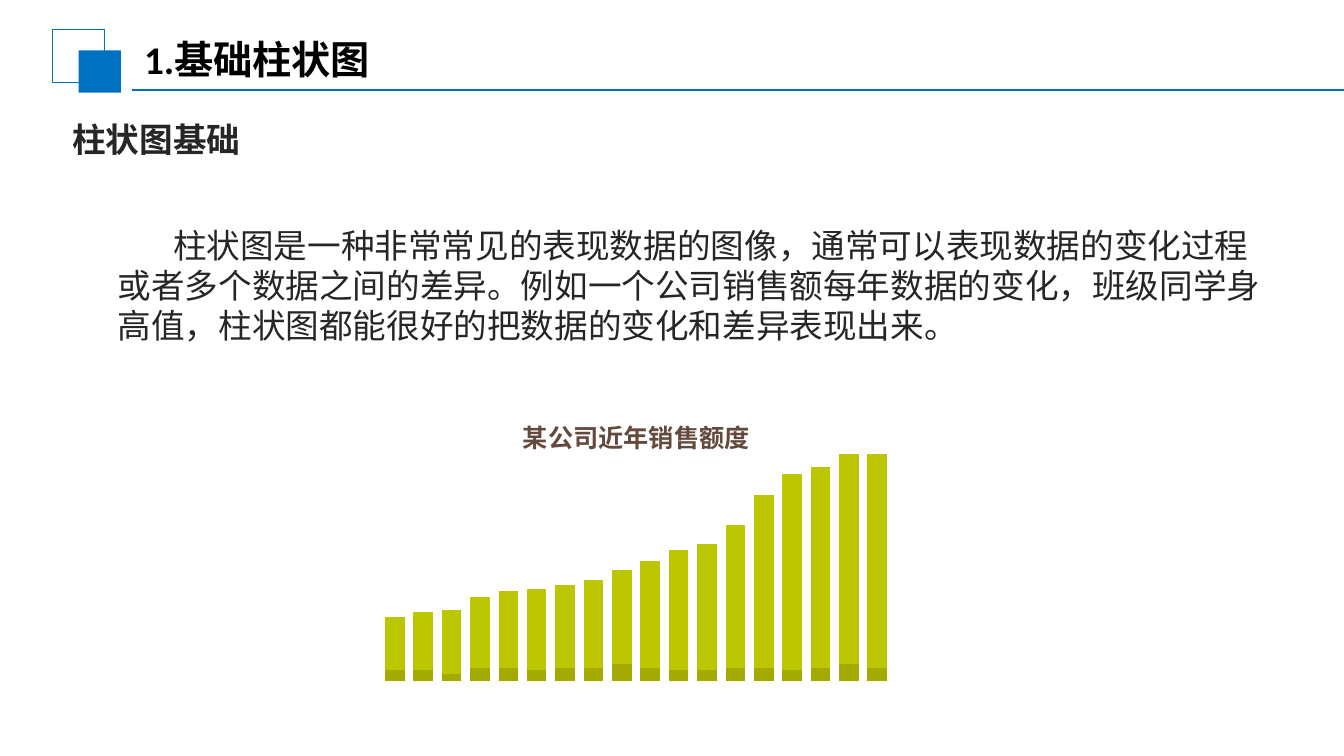
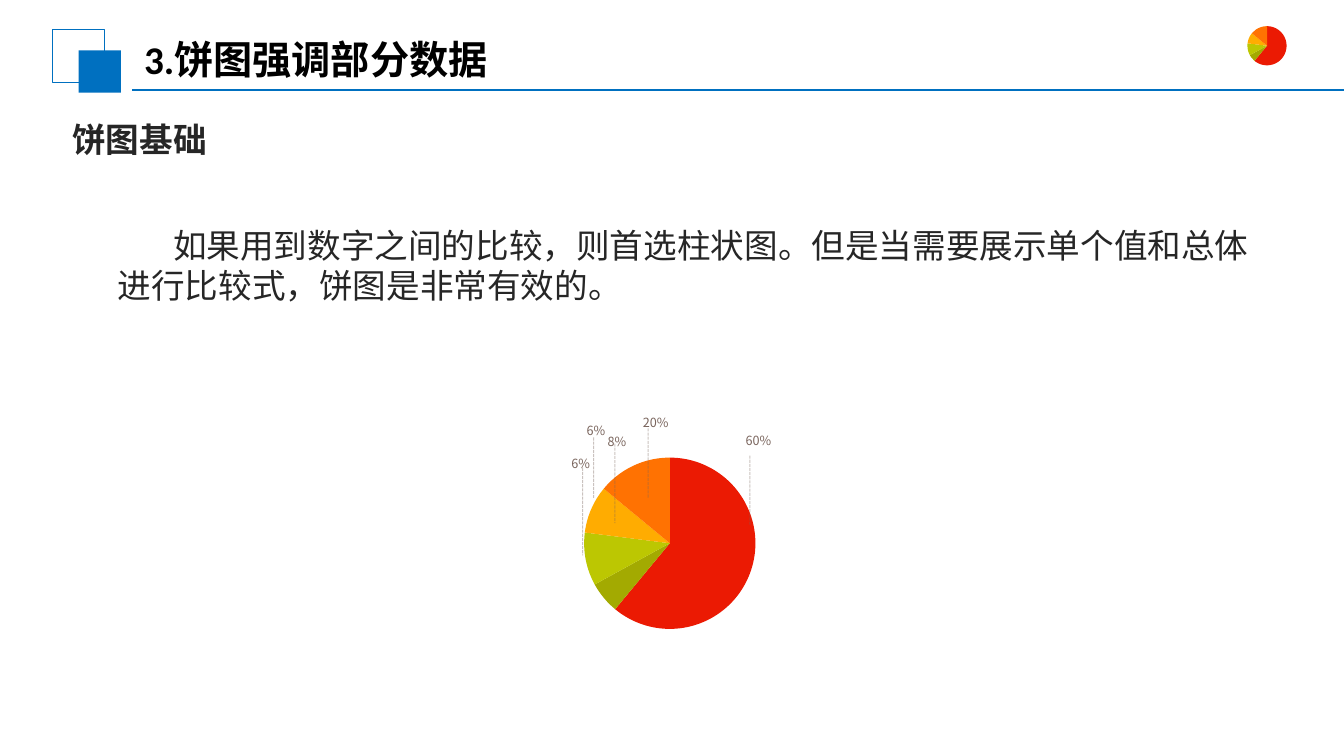
"""Build two slides that introduce column charts and pie charts."""
from dataclasses import dataclass
from typing import Any, NamedTuple

import lxml.etree
import pptx
import pptx.chart.data
import pptx.dml.color
import pptx.enum.chart
import pptx.enum.dml
import pptx.enum.shapes
import pptx.enum.text
import pptx.oxml
import pptx.oxml.ns
import pptx.util

qn = pptx.oxml.ns.qn
SLIDE_COLUMNS, SLIDE_ROWS = 133.33, 75


@dataclass(frozen=True)
class Theme:
    latin: str = "Calibri"
    chinese: str = "Noto Sans CJK SC"
    accent: str = "0070C0"
    black: str = "000000"
    ink: str = "262626"
    brown: str = "634A3D"
    leader: str = "79645C"
    olive: str = "A3AA01"
    lime: str = "BCC702"
    red: str = "EB1A03"
    amber: str = "FFAC01"
    orange: str = "FF7202"
    title_size: int = 28
    body_size: int = 24
    chart_size: int = 18
    label_size: int = 9
    leader_opacity: int = 39


THEME = Theme()


class Area(NamedTuple):
    left: float
    top: float
    width: float
    height: float


@dataclass(frozen=True)
class TextStyle:
    size: int
    color: str
    bold: bool = False
    latin: str = THEME.chinese
    indent: float = 0
    padding: tuple[float, float] = (1, 0.5)
    anchor: Any = pptx.enum.text.MSO_ANCHOR.TOP


class Callout(NamedTuple):
    label: str
    area: Area
    leader_x: float
    leader_top: float
    leader_bottom: float


class Topic(NamedTuple):
    title: str
    heading: str
    body: str


TITLE = TextStyle(THEME.title_size, THEME.black, True, THEME.latin,
                  padding=(1.3, 0.7), anchor=pptx.enum.text.MSO_ANCHOR.MIDDLE)
HEADING = TextStyle(THEME.body_size, THEME.ink, True, indent=3.3)
BODY = TextStyle(THEME.body_size, THEME.ink, indent=5.5)
CHART_TITLE = TextStyle(THEME.chart_size, THEME.brown, True)
LABEL = TextStyle(THEME.label_size, THEME.leader)

COLUMN_TOPIC = Topic(
    "1.基础柱状图", "柱状图基础",
    "柱状图是一种非常常见的表现数据的图像，通常可以表现数据的变化过程或者多个数据之间的差异。"
    "例如一个公司销售额每年数据的变化，班级同学身高值，柱状图都能很好的把数据的变化和差异表现出来。")
PIE_TOPIC = Topic(
    "3.饼图强调部分数据", "饼图基础",
    "如果用到数字之间的比较，则首选柱状图。但是当需要展示单个值和总体进行比较式，饼图是非常有效的。")

SALES = {
    THEME.olive: (5, 5, 3, 6, 6, 5, 6, 6, 8, 6, 5, 5, 6, 6, 5, 6, 8, 6),
    THEME.lime: (25, 27, 30, 33, 36, 38, 39, 41, 44, 50, 56, 59, 67, 81, 92, 94, 98, 100),
}
SHARES = {THEME.red: 61, THEME.olive: 6, THEME.lime: 10, THEME.amber: 9, THEME.orange: 14}
CALLOUTS = (
    Callout("60%", Area(73, 42.5, 13.3, 5.5), 74.4, 45.2, 52.1),
    Callout("20%", Area(62.8, 40.7, 13.3, 5.5), 64.3, 42.5, 49.4),
    Callout("8%", Area(59.3, 42.6, 5, 2.5), 61, 44, 51.9),
    Callout("6%", Area(57.2, 41.5, 5.1, 2.5), 58.9, 43.4, 49.4),
    Callout("6%", Area(55.7, 44.7, 4.2, 2.5), 57.8, 46.4, 55.1),
)


def cells(count: float) -> pptx.util.Emu:
    """Turn grid cells, ten to the inch, into a length."""
    return pptx.util.Inches(count / 10)


def placed(area: Area) -> list[pptx.util.Emu]:
    """Return the four lengths of an area."""
    return [cells(count) for count in area]


def rgb(color: str) -> pptx.dml.color.RGBColor:
    """Return the colour of a hex code."""
    return pptx.dml.color.RGBColor.from_string(color)


def apply(target: Any, values: dict[str, Any]) -> None:
    """Set each named value on the target."""
    for name, value in values.items():
        setattr(target, name, value)


def paint(part: Any, color: str) -> None:
    """Fill a part with one solid colour."""
    part.fill.solid()
    part.fill.fore_color.rgb = rgb(color)


def add_text(slide: Any, area: Area, words: str, style: TextStyle) -> None:
    """Write one paragraph in a text box."""
    frame = slide.shapes.add_textbox(*placed(area)).text_frame
    across, down = map(cells, style.padding)
    apply(frame, {"word_wrap": True, "vertical_anchor": style.anchor,
                  "margin_left": across, "margin_right": across,
                  "margin_top": down, "margin_bottom": down})
    paragraph = frame.paragraphs[0]
    if style.indent:
        paragraph._p.get_or_add_pPr().set("indent", str(cells(style.indent)))
    run = paragraph.add_run()
    run.text = words
    apply(run.font, {"name": style.latin, "size": pptx.util.Pt(style.size), "bold": style.bold})
    run.font.color.rgb = rgb(style.color)
    east_asian = pptx.oxml.parse_xml(
        f'<a:ea {pptx.oxml.ns.nsdecls("a")} typeface="{THEME.chinese}"/>')
    run._r.get_or_add_rPr().find(qn("a:latin")).addnext(east_asian)


def add_line(slide: Any, start: tuple[float, float], end: tuple[float, float],
             color: str, width: float) -> Any:
    """Draw a straight line without a shadow."""
    line = slide.shapes.add_connector(
        pptx.enum.shapes.MSO_CONNECTOR.STRAIGHT, *map(cells, start + end))
    apply(line.line, {"width": pptx.util.Pt(width)})
    line.line.color.rgb = rgb(color)
    lxml.etree.SubElement(line._element.spPr, qn("a:effectLst"))
    return line


def add_square(slide: Any, area: Area, filled: bool) -> None:
    """Draw a filled or outlined square of the header mark."""
    square = slide.shapes.add_shape(pptx.enum.shapes.MSO_SHAPE.RECTANGLE, *placed(area))
    square.shadow.inherit = False
    if filled:
        paint(square, THEME.accent)
        square.line.fill.background()
    else:
        square.fill.background()
        square.line.color.rgb = rgb(THEME.accent)
        square.line.width = pptx.util.Pt(0.75)


def add_topic(deck: Any, topic: Topic) -> Any:
    """Add a slide with the shared header, heading and body."""
    slide = deck.slides.add_slide(deck.slide_layouts[6])
    add_square(slide, Area(5.2, 2.9, 5.2, 5.3), False)
    add_square(slide, Area(7.8, 5, 4.2, 4.2), True)
    add_line(slide, (13.1, 8.9), (SLIDE_COLUMNS, 8.9), THEME.accent, 1.25)
    add_text(slide, Area(13, 2.9, 78.9, 5.8), topic.title, TITLE)
    add_text(slide, Area(2.9, 11.3, 40.6, 5), topic.heading, HEADING)
    add_text(slide, Area(10.7, 21.8, 117.3, 13.1), topic.body, BODY)
    return slide


def add_chart(slide: Any, area: Area, kind: Any, series: list[tuple[int, ...]]) -> Any:
    """Add a plain chart with numbered categories and series."""
    data = pptx.chart.data.CategoryChartData()
    data.categories = [str(number) for number in range(1, len(series[0]) + 1)]
    for number, values in enumerate(series, 1):
        data.add_series(f"Series {number}", values)
    chart = slide.shapes.add_chart(kind, *placed(area), data).chart
    apply(chart, {"has_title": False, "has_legend": False})
    apply(chart.font, {"name": THEME.latin, "size": pptx.util.Pt(THEME.chart_size)})
    chart.font.color.rgb = rgb(THEME.black)
    return chart


def add_sales(slide: Any, area: Area) -> None:
    """Add the stacked sales columns."""
    chart = add_chart(slide, area, pptx.enum.chart.XL_CHART_TYPE.COLUMN_STACKED,
                      list(SALES.values()))
    plot = chart.plots[0]
    apply(plot, {"gap_width": 45, "overlap": 100, "vary_by_categories": False})
    for axis in (chart.category_axis, chart.value_axis):
        apply(axis, {"visible": False, "has_major_gridlines": False})
    apply(chart.value_axis, {"minimum_scale": 0, "maximum_scale": 125})
    for column, color in zip(plot.series, SALES):
        paint(column.format, color)


def add_pie(slide: Any, area: Area, diameter: float) -> None:
    """Add the share pie, centred in its area."""
    chart = add_chart(slide, area, pptx.enum.chart.XL_CHART_TYPE.PIE, [tuple(SHARES.values())])
    plot = chart.plots[0]
    plot.vary_by_categories = True
    for index, color in enumerate(SHARES):
        paint(plot.series[0].points[index].format, color)
    plot_area = chart._chartSpace.find(".//" + qn("c:plotArea"))
    for layout in plot_area.findall(qn("c:layout")):
        plot_area.remove(layout)
    wide, high = diameter / area.width, diameter / area.height
    settings = {"layoutTarget": "inner", "xMode": "edge", "yMode": "edge",
                "x": (1 - wide) / 2, "y": (1 - high) / 2, "w": wide, "h": high}
    layout = lxml.etree.Element(qn("c:layout"))
    manual = lxml.etree.SubElement(layout, qn("c:manualLayout"))
    for name, value in settings.items():
        lxml.etree.SubElement(manual, qn(f"c:{name}")).set("val", str(value))
    plot_area.insert(0, layout)


def add_callout(slide: Any, callout: Callout) -> None:
    """Add a percentage with its dashed leader."""
    add_text(slide, callout.area, callout.label, LABEL)
    leader = add_line(slide, (callout.leader_x, callout.leader_top),
                      (callout.leader_x, callout.leader_bottom), THEME.leader, 0.75)
    leader.line.dash_style = pptx.enum.dml.MSO_LINE.SQUARE_DOT
    color = leader._element.spPr.find(".//" + qn("a:srgbClr"))
    lxml.etree.SubElement(color, qn("a:alpha")).set("val", str(THEME.leader_opacity * 1000))


def main() -> None:
    """Build and save the deck."""
    deck = pptx.Presentation()
    apply(deck, {"slide_width": cells(SLIDE_COLUMNS), "slide_height": cells(SLIDE_ROWS)})

    columns = add_topic(deck, COLUMN_TOPIC)
    add_sales(columns, Area(36.7, 40.5, 52.8, 27.6))
    add_text(columns, Area(50.9, 41.4, 28.3, 4), "某公司近年销售额度", CHART_TITLE)

    pie = add_topic(deck, PIE_TOPIC)
    add_pie(pie, Area(51.8, 44, 29.3, 19.8), 17)
    for callout in CALLOUTS:
        add_callout(pie, callout)
    add_pie(pie, Area(121, 1.3, 9.4, 6.5), 3.9)

    deck.save("out.pptx")


if __name__ == "__main__":
    main()
